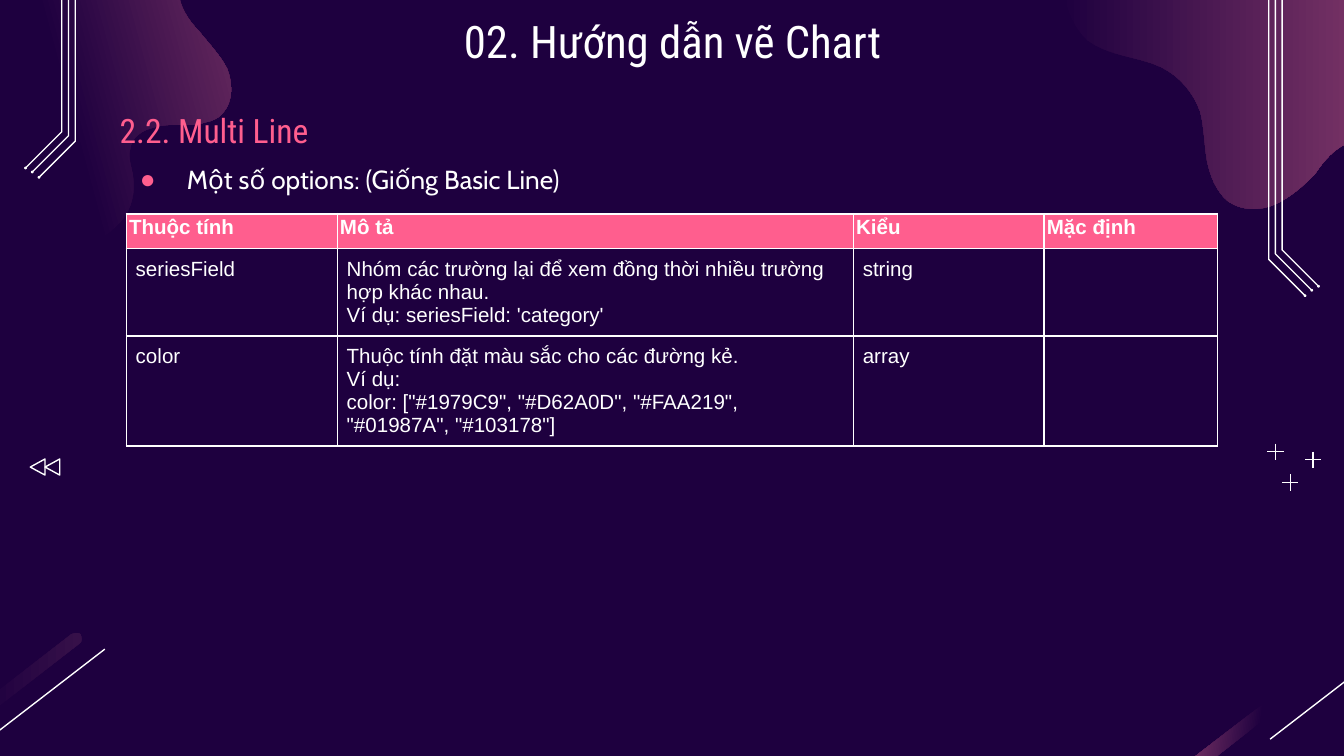
import pptx
import pptx.util
import pptx.dml.color
import pptx.enum.shapes
import pptx.enum.text
import pptx.oxml
import pptx.oxml.ns
from pptx.util import Inches

NIGHT, PINK, PLUM, WHITE = "1E003F", "FF5E8E", "A64D79", "FFFFFF"
NS = pptx.oxml.ns.nsdecls("a")
MSO = pptx.enum.shapes.MSO_SHAPE
ANCHOR = pptx.enum.text.MSO_ANCHOR
ALIGN = pptx.enum.text.PP_ALIGN


def rgb(value):
    return pptx.dml.color.RGBColor.from_string(value)


def outline(start, curves, dx=0, closed=True):
    """Freeform through Bezier curves (6 numbers) and straight segments (2 numbers)."""
    points = [start]
    for c in curves:
        if len(c) == 2:
            points.append(c)
            continue
        (x0, y0), (x1, y1, x2, y2, x3, y3) = points[-1], c
        for t in (i / 8 for i in range(1, 9)):
            u = 1 - t
            a, b, d, e = u ** 3, 3 * u * u * t, 3 * u * t * t, t ** 3
            points.append((a * x0 + b * x1 + d * x2 + e * x3,
                           a * y0 + b * y1 + d * y2 + e * y3))
    points = [(Inches(x + dx), Inches(y)) for x, y in points]
    builder = s.shapes.build_freeform(*points[0])
    builder.add_line_segments(points[1:], close=closed)
    sp = builder.convert_to_shape()
    sp.shadow.inherit = False
    return sp


# Widescreen 16:9 slide
prs = pptx.Presentation()
prs.slide_width = Inches(10)
prs.slide_height = Inches(10 * 9 / 16)
s = prs.slides.add_slide(prs.slide_layouts.get_by_name("Two Content"))
s.background.fill.solid()
s.background.fill.fore_color.rgb = rgb(NIGHT)

# Corner blobs and diagonal streaks with gradients
left_blob = [
    (0.74, 1.83, 0.86, 1.69, 0.9, 1.65), (0.98, 1.56, 1.01, 1.43, 0.99, 1.31),
    (0.98, 1.24, 0.95, 1.17, 0.97, 1.11), (0.98, 1.02, 1.06, 0.97, 1.14, 0.95),
    (1.24, 0.92, 1.33, 0.93, 1.42, 0.93), (1.46, 0.93, 1.5, 0.92, 1.53, 0.91),
    (1.58, 0.9, 1.63, 0.88, 1.66, 0.84), (1.74, 0.75, 1.73, 0.61, 1.69, 0.51),
    (1.64, 0.41, 1.55, 0.32, 1.48, 0.23), (1.4, 0.15, 1.33, 0.04, 1.33, -0.07),
    (1.33, -0.16, 1.36, -0.25, 1.43, -0.31), (1.47, -0.35, 1.53, -0.38, 1.59, -0.39),
    (1.68, -0.42, 1.79, -0.42, 1.9, -0.41), (2.01, -0.41, 2.12, -0.4, 2.23, -0.42),
    (2.37, -0.46, 2.46, -0.51, 2.52, -0.58), (2.59, -0.66, 2.61, -0.78, 2.58, -0.87),
    (2.56, -1.05, 2.44, -1.25, 2.33, -1.34), (2.15, -1.5, 1.9, -1.55, 1.67, -1.51),
    (1.29, -1.4, 1.03, -1.1, 0.7, -0.95), (0.65, -0.93, 0.59, -0.91, 0.54, -0.9),
    (0.22, -0.81, -0.13, -0.85, -0.47, -0.82), (-0.62, -0.81, -0.77, -0.78, -0.91, -0.74),
    (-1.04, -0.71, -1.16, -0.67, -1.28, -0.61), (-1.45, -0.54, -1.62, -0.44, -1.74, -0.3),
    (-1.86, -0.17, -1.95, 0.02, -1.94, 0.22), (-1.93, 0.46, -1.76, 0.68, -1.56, 0.8),
    (-1.35, 0.93, -1.12, 0.97, -0.88, 0.99), (-0.74, 1.01, -0.6, 1.01, -0.46, 1.06),
    (-0.32, 1.1, -0.19, 1.19, -0.13, 1.33), (-0.08, 1.44, -0.08, 1.55, -0.03, 1.66),
    (0.06, 1.84, 0.29, 1.95, 0.48, 1.9)]
right_blob = [
    (11.25, 0.13, 11.18, -0.13, 11.05, -0.35), (10.94, -0.54, 10.78, -0.7, 10.58, -0.77),
    (10.36, -0.85, 10.12, -0.81, 9.89, -0.84), (9.67, -0.87, 9.45, -0.97, 9.29, -1.13),
    (9.18, -1.23, 9.09, -1.35, 8.97, -1.41), (8.83, -1.48, 8.67, -1.46, 8.52, -1.43),
    (8.4, -1.4, 8.28, -1.36, 8.19, -1.29), (8.03, -1.17, 7.96, -0.97, 7.93, -0.78),
    (7.9, -0.65, 7.89, -0.51, 7.89, -0.38), (7.89, -0.31, 7.89, -0.24, 7.9, -0.18),
    (7.91, 0, 7.96, 0.18, 8.09, 0.3), (8.25, 0.42, 8.47, 0.42, 8.64, 0.5),
    (8.78, 0.57, 8.88, 0.69, 8.93, 0.83), (8.96, 0.94, 8.96, 1.07, 8.98, 1.19),
    (9, 1.3, 9.05, 1.43, 9.14, 1.5), (9.24, 1.57, 9.38, 1.57, 9.49, 1.52),
    (9.6, 1.47, 9.69, 1.39, 9.78, 1.3), (9.83, 1.23, 9.88, 1.16, 9.95, 1.11),
    (10.02, 1.06, 10.1, 1.03, 10.18, 1.06), (10.33, 1.1, 10.38, 1.3, 10.52, 1.38),
    (10.85, 1.57, 11.08, 1.12, 11.17, 0.88), (11.22, 0.72, 11.25, 0.55, 11.25, 0.38)]
streak = [(0.57, 4.71, 0.59, 4.71, 0.6, 4.72), (0.61, 4.75, 0.61, 4.78, 0.59, 4.79),
          (-0.81, 5.88), (-0.84, 5.89, -0.87, 5.89, -0.88, 5.87),
          (-0.9, 5.85, -0.9, 5.82, -0.87, 5.8), (0.53, 4.72)]
for start, curves, dx, angle, first_stop, end_color in (
        ((0.48, 1.9), left_blob, 0, 15, 0.5, PLUM),
        ((11.25, 0.38), right_blob, 0, 0, 0, PLUM),
        ((0.56, 4.71), streak, 0, 0, 0.5, "361049"),
        ((0.56, 4.71), streak, 9.54, 173, 0.5, PLUM)):
    sp = outline(start, curves, dx)
    sp.line.fill.background()
    sp.fill.gradient()
    sp.fill.gradient_angle = angle
    for stop, position, color in zip(sp.fill.gradient_stops, (first_stop, 1), (NIGHT, end_color)):
        stop.position = position
        stop.color.rgb = rgb(color)

# Circuit traces ending in dots
for bends, side in ((((9.44, 1.93), (9.49, 1.89), (9.54, 1.86)), 1),
                    (((0.46, 0.98), (0.51, 1.01), (0.56, 1.05)), -1)):
    for x, y in bends:
        end_x, end_y = x + 0.27 * side, y + 0.27
        sp = outline((x, 0), [(x, y), (end_x, end_y)], closed=False)
        sp.fill.background()
        sp.line.color.rgb = rgb(WHITE)
        sp.line.width = pptx.util.Pt(0.75)
        dot = s.shapes.add_shape(MSO.OVAL, Inches(end_x - 0.01), Inches(end_y - 0.01),
                                 Inches(0.02), Inches(0.02))
        dot.shadow.inherit = False
        dot.fill.solid()
        dot.fill.fore_color.rgb = rgb(WHITE)
        dot.line.fill.background()

# Corner diagonals and plus signs
lines = [(x, 4.83, x - 0.87, 5.5) for x in (0.78, 10.32)]
for x, y in ((9.6, 3.59), (9.77, 3.42), (9.49, 3.36)):
    lines += [(x - 0.06, y, x + 0.06, y), (x, y - 0.06, x, y + 0.06)]
for ends in lines:
    line = s.shapes.add_connector(pptx.enum.shapes.MSO_CONNECTOR.STRAIGHT, *map(Inches, ends))
    line.line.color.rgb = rgb(WHITE)
    line.line.width = pptx.util.Pt(0.75)
    line._element.spPr.append(pptx.oxml.parse_xml(f"<a:effectLst {NS}/>"))

# Rewind triangles
for x in (0.22, 0.33):
    sp = s.shapes.add_shape(MSO.ISOSCELES_TRIANGLE, Inches(x), Inches(3.42),
                            Inches(0.12), Inches(0.11))
    sp.rotation = 270
    sp.shadow.inherit = False
    sp.fill.background()
    sp.line.color.rgb = rgb(WHITE)
    sp.line.width = pptx.util.Pt(0.75)

# Title, section heading and bullet, placed above the decoration
bullet = (f'<a:buClr {NS}><a:srgbClr val="{PINK}"/></a:buClr>',
          f'<a:buFont {NS} typeface="Arial"/>', f'<a:buChar {NS} char="●"/>')
no_bullet = (f"<a:buNone {NS}/>",)
for idx, text, box, font, size, color, anchor, indent, marks, fmt in (
        (1, "Một số options: (Giống Basic Line)", (0.79, 1, 8.12, 0.5), "Cabin", 14, WHITE,
         ANCHOR.TOP, (0.5, -0.35), bullet, {"line_spacing": 1.5, "alignment": ALIGN.LEFT}),
        (0, "02. Hướng dẫn vẽ Chart", (0.79, 0, 8.43, 0.63), "Roboto Condensed", 24, WHITE,
         ANCHOR.TOP, (0, 0), no_bullet, {"alignment": ALIGN.CENTER}),
        (2, "2.2. Multi Line", (0.79, 0.77, 7.02, 0.45), "Roboto Condensed", 18, PINK,
         ANCHOR.BOTTOM, (0, 0), no_bullet,
         {"line_spacing": 1.15, "space_after": pptx.util.Pt(12), "alignment": ALIGN.LEFT})):
    sp = s.placeholders[idx]
    s.shapes._spTree.append(sp._element)
    sp.left, sp.top, sp.width, sp.height = map(Inches, box)
    tf = sp.text_frame
    tf.word_wrap = True
    tf.auto_size = pptx.enum.text.MSO_AUTO_SIZE.NONE
    tf.vertical_anchor = anchor
    for side in ("left", "right", "top", "bottom"):
        setattr(tf, f"margin_{side}", Inches(0.1))
    p = tf.paragraphs[0]
    pPr = p._p.get_or_add_pPr()
    pPr.set("marL", str(Inches(indent[0])))
    pPr.set("indent", str(Inches(indent[1])))
    for mark in marks:
        pPr.append(pptx.oxml.parse_xml(mark))
    for name, value in {"space_before": pptx.util.Pt(0), **fmt}.items():
        setattr(p, name, value)
    r = p.add_run()
    r.text = text
    for name, value in {"name": font, "size": pptx.util.Pt(size), "bold": False}.items():
        setattr(r.font, name, value)
    r.font.color.rgb = rgb(color)

# Options table
rows = [
    ("Thuộc tính", "Mô tả", "Kiểu", "Mặc định"),
    ("seriesField", "Nhóm các trường lại để xem đồng thời nhiều trường hợp khác nhau.\n"
     "Ví dụ: seriesField: 'category'", "string", ""),
    ("color", "Thuộc tính đặt màu sắc cho các đường kẻ.\nVí dụ:\n"
     'color: ["#1979C9", "#D62A0D", "#FAA219", "#01987A", "#103178"]', "array", "")]
table = s.shapes.add_table(3, 4, Inches(0.94), Inches(1.59), Inches(8.12), Inches(1.73)).table
table.first_row = table.horz_banding = False
for column, width in zip(table.columns, (1.57, 3.84, 1.42, 1.29)):
    column.width = Inches(width)
for i, height in enumerate((0.26, 0.65, 0.82)):
    table.rows[i].height = Inches(height)
    for cell, text in zip(table.rows[i].cells, rows[i]):
        cell.text = text
        for side in ("left", "right", "top", "bottom"):
            setattr(cell, f"margin_{side}", Inches(0.07 if i else 0.02))
        for edge in "LRTB":
            cell._tc.tcPr.append(pptx.oxml.parse_xml(
                f'<a:ln{edge} {NS} w="12700"><a:solidFill><a:srgbClr val="{WHITE}"/>'
                f"</a:solidFill></a:ln{edge}>"))
        if i:
            cell.fill.background()
        else:
            cell.fill.solid()
            cell.fill.fore_color.rgb = rgb(PINK)
        for p in cell.text_frame.paragraphs:
            for r in p.runs:
                for name, value in {"name": "Arial", "size": pptx.util.Pt(11), "bold": i == 0}.items():
                    setattr(r.font, name, value)
                r.font.color.rgb = rgb(WHITE)

prs.save("out.pptx")
